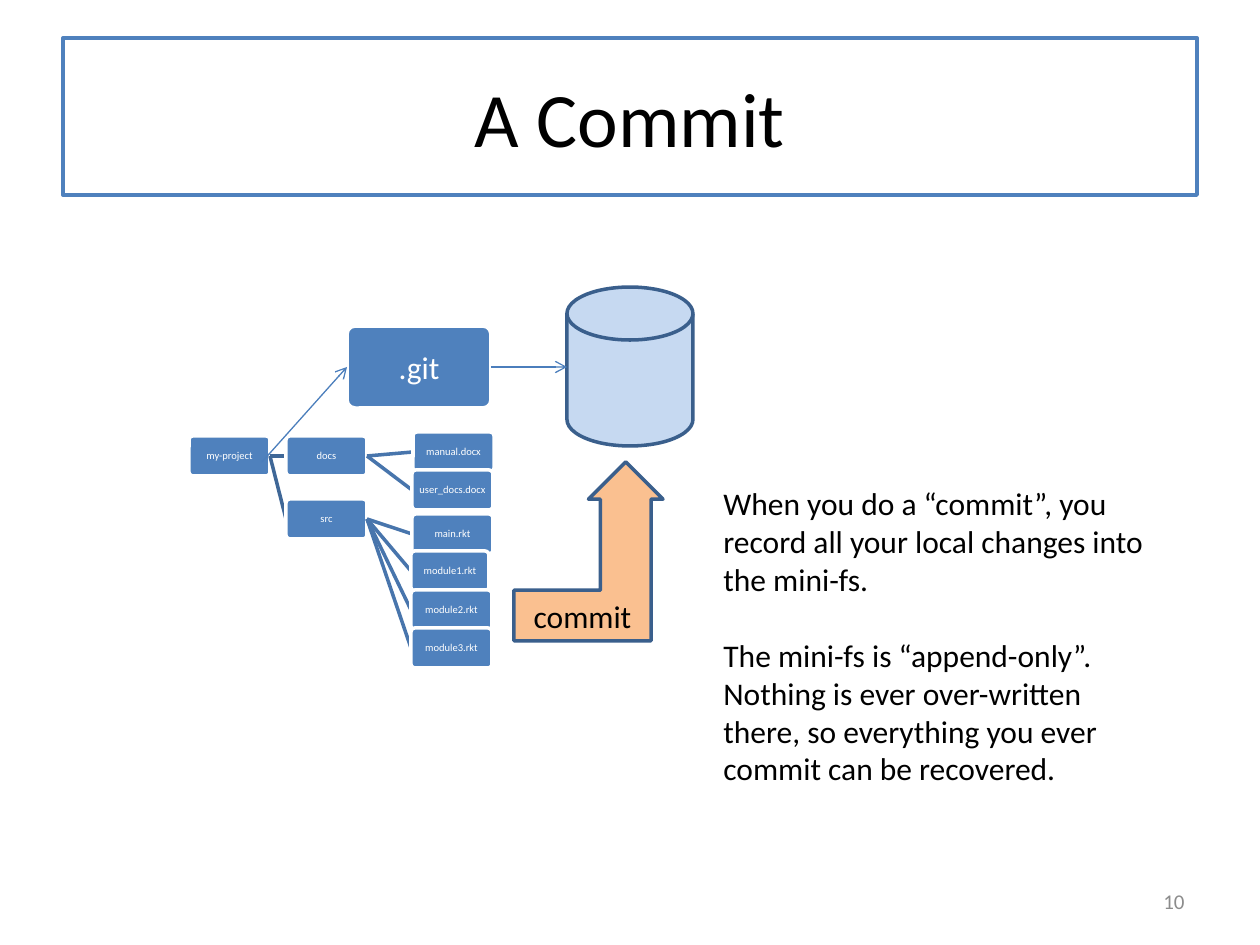
import pptx
import pptx.util
import pptx.dml.color
import pptx.enum.shapes
import pptx.enum.text
import pptx.oxml
import pptx.oxml.ns

SHAPE = pptx.enum.shapes.MSO_SHAPE
ALIGN = pptx.enum.text.PP_ALIGN
ANCHOR = pptx.enum.text.MSO_ANCHOR
COLORS = {
    "blue": "4F81BD", "white": "FFFFFF", "black": "000000", "grey": "8C8C8C",
    "store": "C6D9F1", "outline": "3A5F8C", "arrow": "FAC090",
    "trunk": "3F6797", "branch": "4875AC", "pointer": "4B7EBC",
}

# Content: name, parent, left, top, width of each tree node
NODES = [
    ("my-project", None, 189, 436, 81),
    ("docs", "my-project", 286, 436, 81),
    ("manual.docx", "docs", 413, 432, 81),
    ("user_docs.docx", "docs", 412, 470, 81),
    ("src", "my-project", 286, 499, 81),
    ("main.rkt", "src", 412, 514, 81),
    ("module1.rkt", "src", 411, 551, 78),
    ("module2.rkt", "src", 411, 590, 81),
    ("module3.rkt", "src", 411, 628, 81),
]
NODE_HEIGHT = 40
POINTERS = [(491, 367, 567, 367), (262, 462, 347, 367)]
NOTES = [
    "When you do a “commit”, you record all your local changes into the mini-fs.",
    "The mini-fs is “append-only”. Nothing is ever over-written there, "
    "so everything you ever commit can be recovered.",
]

prs = pptx.Presentation()
prs.slide_width, prs.slide_height = pptx.util.Inches(10), pptx.util.Inches(7.5)
s = prs.slides.add_slide(prs.slide_layouts[6])


def px(*values):
    return [round(v * 914400 / 126) for v in values]


def rgb(name):
    return pptx.dml.color.RGBColor.from_string(COLORS[name])


def write(sp, lines, size, color, align=ALIGN.CENTER, anchor=ANCHOR.MIDDLE):
    tf = sp.text_frame
    tf.word_wrap = True
    tf.vertical_anchor = anchor
    tf.text = "\n".join(lines)
    for p in tf.paragraphs:
        p.alignment = align
        for r in p.runs:
            r.font.name = "Calibri"
            r.font.size = pptx.util.Pt(size)
            r.font.color.rgb = rgb(color)
    return tf


def add_shape(kind, box, fill, line, width=2):
    sp = s.shapes.add_shape(kind, *px(*box))
    sp.shadow.inherit = False
    if fill:
        sp.fill.solid()
        sp.fill.fore_color.rgb = rgb(fill)
    else:
        sp.fill.background()
    sp.line.color.rgb = rgb(line)
    sp.line.width = pptx.util.Pt(width)
    return sp


def add_box(box):
    sp = add_shape(SHAPE.ROUNDED_RECTANGLE, box, "blue", "white")
    sp.adjustments[0] = 0.1
    return sp


def add_line(ends, color, width, arrow=False):
    line = s.shapes.add_connector(pptx.enum.shapes.MSO_CONNECTOR.STRAIGHT, *px(*ends))
    line.line.color.rgb = rgb(color)
    line.line.width = pptx.util.Pt(width)
    if arrow:
        tail = pptx.oxml.parse_xml(
            '<a:tailEnd %s type="arrow"/>' % pptx.oxml.ns.nsdecls("a"))
        line.line._get_or_add_ln().append(tail)
    line._element.spPr.append(
        pptx.oxml.parse_xml("<a:effectLst %s/>" % pptx.oxml.ns.nsdecls("a")))


# Title
title = add_shape(SHAPE.RECTANGLE, (63, 38, 1134, 157), None, "blue", 2.25)
write(title, ["A Commit"], 44, "black")

# Project tree: each link runs from parent's right to child's left
ports = {}
for name, parent, left, top, width in NODES:
    middle = top + NODE_HEIGHT / 2
    ports[name] = (left + width, middle)
    if parent:
        color = "trunk" if parent == "my-project" else "branch"
        add_line((*ports[parent], left, middle), color, 2)
    tf = write(add_box((left, top, width, NODE_HEIGHT)), [name], 6, "white")
    tf.margin_left = tf.margin_right = tf.margin_top = tf.margin_bottom = 0
    tf.paragraphs[0].line_spacing = 0.9

# Repository folder and its store
write(add_box((347, 326, 144, 82)), [".git"], 18, "white")
add_shape(SHAPE.FLOWCHART_MAGNETIC_DISK, (567, 287, 126, 159), "store", "outline")
for ends in POINTERS:
    add_line(ends, "pointer", 0.75, arrow=True)

# Commit arrow
commit = add_shape(SHAPE.BENT_UP_ARROW, (514, 462, 149, 179), "arrow", "outline")
for i, value in enumerate((0.34, 0.25, 0.25)):
    commit.adjustments[i] = value
write(commit, ["commit"], 18, "black")

# Explanation and slide number
notes = s.shapes.add_textbox(*px(711, 478, 462, 318))
tf = write(notes, NOTES, 18, "black", ALIGN.LEFT, ANCHOR.TOP)
tf.paragraphs[1].space_before = pptx.util.Pt(22)
number = s.shapes.add_textbox(*px(903, 876, 294, 50))
write(number, ["10"], 12, "grey", ALIGN.RIGHT)

prs.save("out.pptx")
